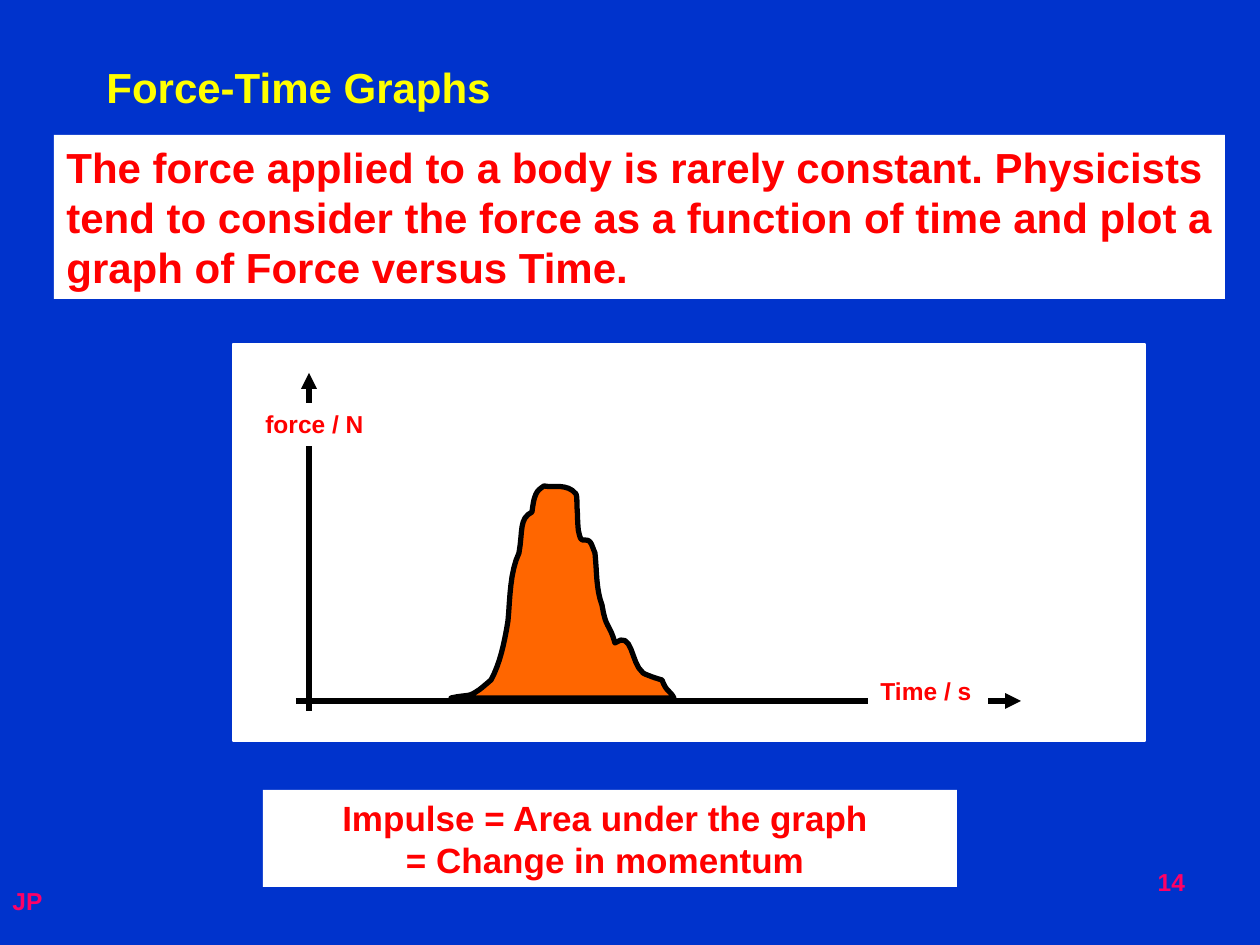
import pptx
import pptx.dml.color
import pptx.enum.shapes
import pptx.enum.text
import pptx.oxml.ns
import pptx.util
from lxml import etree

SCALE = 914400 / 126  # EMU in one px
RGB = pptx.dml.color.RGBColor
ALIGN = pptx.enum.text.PP_ALIGN
ANCHOR = pptx.enum.text.MSO_ANCHOR

BLUE = RGB(0x00, 0x33, 0xCC)
YELLOW = RGB(0xFF, 0xFF, 0x00)
RED = RGB(0xFF, 0x00, 0x00)
PINK = RGB(0xFF, 0x00, 0x66)
ORANGE = RGB(0xFF, 0x66, 0x00)
WHITE = RGB(0xFF, 0xFF, 0xFF)
BLACK = RGB(0x00, 0x00, 0x00)

TITLE = "Force-Time Graphs"
INTRO = ("The force applied to a body is rarely constant. Physicists tend to consider "
         "the force as a function of time and plot a graph of Force versus Time.")
IMPULSE = ["Impulse = Area under the graph", "= Change in momentum"]

PANEL = (233, 344, 912, 397)
AXES = [((309, 711), (309, 373)), ((296, 701), (1021, 701))]
AXIS_LABELS = [("force / N", (253, 403, 139, 43)), ("Time / s", (868, 670, 120, 43))]

# Each curve of the force pulse: two control points, then the end point.
PULSE_START = (451, 698)
PULSE_CURVES = [
    ((470, 694), (467, 698), (479, 690)),
    ((483, 687), (491, 680), (491, 680)),
    ((500, 663), (504, 645), (508, 621)),
    ((510, 597), (510, 572), (519, 553)),
    ((523, 530), (519, 519), (532, 512)),
    ((534, 495), (536, 491), (544, 486)),
    ((554, 488), (567, 483), (576, 494)),
    ((577, 496), (577, 503), (577, 507)),
    ((578, 517), (577, 529), (580, 537)),
    ((582, 543), (587, 538), (590, 542)),
    ((592, 544), (593, 549), (595, 553)),
    ((597, 572), (596, 590), (602, 605)),
    ((606, 630), (609, 622), (615, 643)),
    ((633, 630), (630, 662), (643, 673)),
    ((646, 675), (658, 679), (662, 680)),
    ((667, 693), (669, 689), (674, 698)),
]
CURVE_STEPS = 8


def px(length):
    return pptx.util.Emu(round(length * SCALE))


def add_text(shapes, text, place, *, size, color, fill=None, align=ALIGN.LEFT,
             anchor=ANCHOR.TOP, wrap=True, right_inset=12):
    box = shapes.add_textbox(*map(px, place))
    if fill is not None:
        box.fill.solid()
        box.fill.fore_color.rgb = fill
    frame = box.text_frame
    frame.word_wrap = wrap
    frame.vertical_anchor = anchor
    frame.margin_right = px(right_inset)
    lines = [text] if isinstance(text, str) else text
    for index, line in enumerate(lines):
        para = frame.paragraphs[0] if index == 0 else frame.add_paragraph()
        para.alignment = align
        span = para.add_run()
        span.text = line
        span.font.name = "Arial"
        span.font.size = pptx.util.Pt(size)
        span.font.bold = True
        span.font.color.rgb = color
    return box


def style_shape(shape, fill, line, width):
    shape.shadow.inherit = False
    shape.fill.solid()
    shape.fill.fore_color.rgb = fill
    shape.line.color.rgb = line
    shape.line.width = pptx.util.Pt(width)


def add_axis(shapes, start, end):
    axis = shapes.add_connector(pptx.enum.shapes.MSO_CONNECTOR.STRAIGHT,
                                *map(px, start + end))
    axis.line.color.rgb = BLACK
    axis.line.width = pptx.util.Pt(3)
    qn = pptx.oxml.ns.qn
    etree.SubElement(axis.line._get_or_add_ln(), qn("a:tailEnd"), type="triangle")
    etree.SubElement(axis._element.spPr, qn("a:effectLst"))


def curve_points(start, curves):
    """Sample a chain of cubic Bezier curves."""
    points = []
    for first, second, end in curves:
        for step in range(1, CURVE_STEPS + 1):
            t = step / CURVE_STEPS
            weights = ((1 - t) ** 3, 3 * t * (1 - t) ** 2, 3 * t ** 2 * (1 - t), t ** 3)
            corners = (start, first, second, end)
            points.append(tuple(sum(w * c[axis] for w, c in zip(weights, corners))
                                for axis in (0, 1)))
        start = end
    return points


def add_pulse(shapes):
    builder = shapes.build_freeform(*PULSE_START, scale=SCALE)
    # Tenths of a px keep the sampled outline smooth.
    builder = shapes.build_freeform(*(10 * c for c in PULSE_START), scale=SCALE / 10)
    points = curve_points(PULSE_START, PULSE_CURVES)
    builder.add_line_segments([(10 * x, 10 * y) for x, y in points], close=True)
    style_shape(builder.convert_to_shape(), ORANGE, BLACK, 3)


def add_graph(shapes):
    graph = shapes.add_group_shape().shapes
    panel = graph.add_shape(pptx.enum.shapes.MSO_SHAPE.RECTANGLE, *map(px, PANEL))
    style_shape(panel, WHITE, WHITE, 0.75)
    for start, end in AXES:
        add_axis(graph, start, end)
    for label, place in AXIS_LABELS:
        add_text(graph, label, place, size=14, color=RED, fill=WHITE)


def main():
    deck = pptx.Presentation()
    deck.slide_width, deck.slide_height = px(1260), px(945)
    page = deck.slides.add_slide(deck.slide_layouts[6])
    page.background.fill.solid()
    page.background.fill.fore_color.rgb = BLUE
    shapes = page.shapes

    add_text(shapes, TITLE, (94, 55, 410, 63), size=24, color=YELLOW, wrap=False)
    add_text(shapes, INTRO, (54, 135, 1171, 164), size=24, color=RED, fill=WHITE,
             right_inset=10)
    add_graph(shapes)
    add_text(shapes, IMPULSE, (263, 790, 694, 97), size=20, color=RED, fill=WHITE,
             align=ALIGN.CENTER, anchor=ANCHOR.MIDDLE, right_inset=22)
    add_pulse(shapes)
    add_text(shapes, "JP", (0, 880, 399, 65), size=14, color=PINK)
    add_text(shapes, "14", (903, 861, 294, 65), size=14, color=PINK, align=ALIGN.RIGHT)
    deck.save("out.pptx")


if __name__ == "__main__":
    main()
